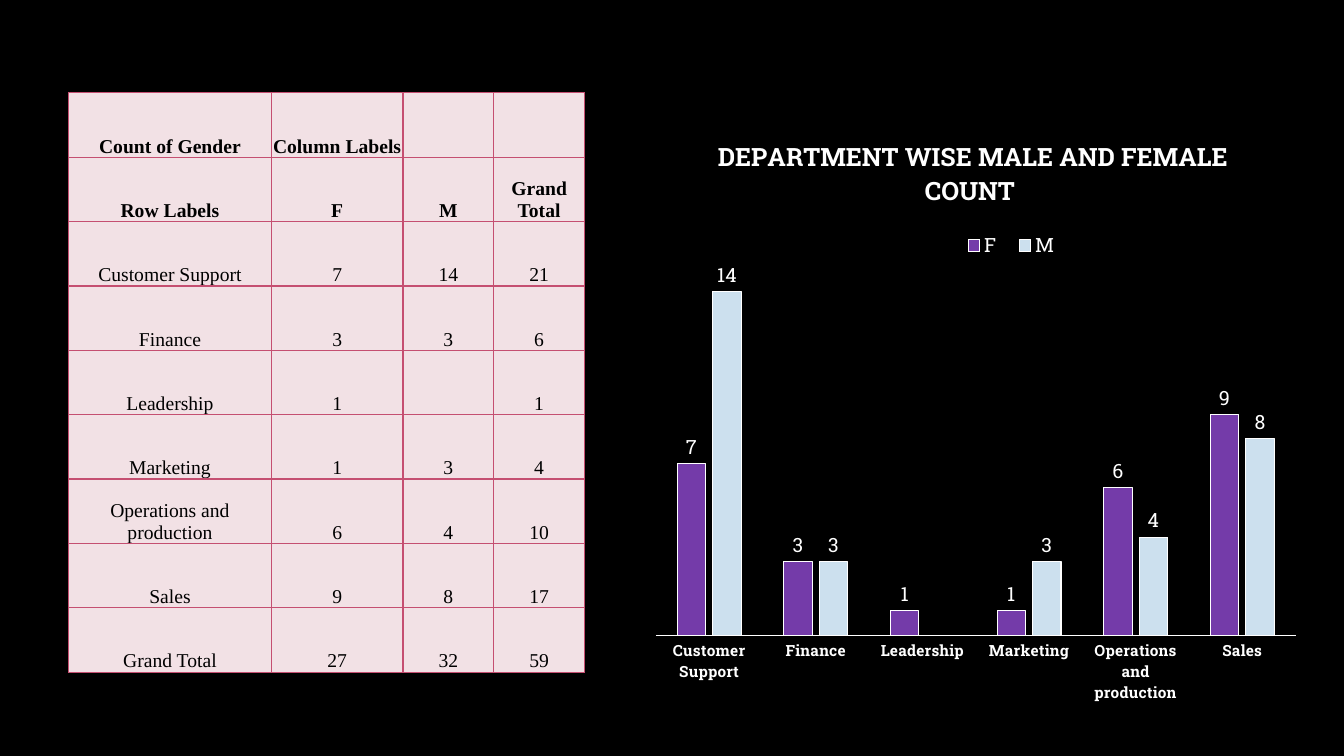
from lxml.etree import SubElement
from pptx import Presentation
from pptx.chart.data import CategoryChartData
from pptx.dml.color import RGBColor
from pptx.enum.chart import XL_CHART_TYPE, XL_LABEL_POSITION, XL_LEGEND_POSITION, XL_TICK_MARK
from pptx.enum.text import MSO_ANCHOR, PP_ALIGN
from pptx.oxml import parse_xml
from pptx.oxml.ns import nsdecls, qn
from pptx.util import Cm, Pt

TABLE_FONT = "Times New Roman"
CHART_FONT = "Roboto Slab"
BLACK, WHITE, PINK, ROSE = "000000", "FFFFFF", "F2E1E5", "C54F71"
SERIES_COLORS = {"F": "743BA9", "M": "CCE0EE"}
COUNTS = {
    "Customer Support": (7, 14),
    "Finance": (3, 3),
    "Leadership": (1, None),
    "Marketing": (1, 3),
    "Operations and production": (6, 4),
    "Sales": (9, 8),
}


def color(value):
    return RGBColor.from_string(value)


def format_font(font, name=CHART_FONT, size=14, fill=WHITE, bold=False):
    font.name = name
    font.size = Pt(size)
    font.bold = bold
    font.color.rgb = color(fill)


def write_text(text_frame, text, align=PP_ALIGN.CENTER, **font_format):
    paragraph = text_frame.paragraphs[0]
    paragraph.alignment = align
    run = paragraph.add_run()
    run.text = text
    format_font(run.font, **font_format)


def add_borders(cell, line_color, width):
    properties = cell._tc.get_or_add_tcPr()
    for side in ("lnL", "lnR", "lnT", "lnB"):
        line = SubElement(properties, qn(f"a:{side}"), w=str(Pt(width)))
        fill = SubElement(line, qn("a:solidFill"))
        SubElement(fill, qn("a:srgbClr"), val=line_color)


def department_rows():
    rows = [("Count of Gender", "Column Labels", "", ""), ("Row Labels", "F", "M", "Grand Total")]
    for department, (female, male) in COUNTS.items():
        rows.append((department, female, male or "", female + (male or 0)))
    females = sum(female for female, male in COUNTS.values())
    males = sum(male or 0 for female, male in COUNTS.values())
    return rows + [("Grand Total", females, males, females + males)]


def add_count_table(slide, left, top, width, height):
    rows = department_rows()
    table = slide.shapes.add_table(len(rows), 4, left, top, width, height).table
    table.first_row = table.horz_banding = False
    for column, share in zip(table.columns, (0.393, 0.255, 0.176, 0.176)):
        column.width = int(width * share)
    for row_index, values in enumerate(rows):
        for column_index, value in enumerate(values):
            cell = table.cell(row_index, column_index)
            cell.margin_left = cell.margin_right = cell.margin_top = cell.margin_bottom = 0
            cell.vertical_anchor = MSO_ANCHOR.BOTTOM
            add_borders(cell, ROSE, 1)
            cell.fill.solid()
            cell.fill.fore_color.rgb = color(PINK)
            if value != "":
                write_text(cell.text_frame, str(value), name=TABLE_FONT, fill=BLACK, bold=row_index < 2)


def set_layout(parent, x, y, width, height, inner=False):
    for layout in parent.findall(qn("c:layout")):
        parent.remove(layout)
    target = '<c:layoutTarget val="inner"/>' if inner else ""
    return parse_xml(
        f'<c:layout {nsdecls("c")}><c:manualLayout>{target}'
        '<c:xMode val="edge"/><c:yMode val="edge"/>'
        f'<c:x val="{x}"/><c:y val="{y}"/><c:w val="{width}"/><c:h val="{height}"/>'
        "</c:manualLayout></c:layout>"
    )


def style_series(series):
    series.format.fill.solid()
    series.format.fill.fore_color.rgb = color(SERIES_COLORS[series.name])
    series.format.line.color.rgb = color(WHITE)
    series.format.line.width = Pt(0.75)
    labels = series.data_labels
    labels.show_value = True
    labels.position = XL_LABEL_POSITION.OUTSIDE_END
    format_font(labels.font)


def add_count_chart(slide, left, top, width, height):
    data = CategoryChartData()
    data.categories = list(COUNTS)
    for index, name in enumerate(SERIES_COLORS):
        data.add_series(name, [pair[index] for pair in COUNTS.values()])
    chart = slide.shapes.add_chart(XL_CHART_TYPE.COLUMN_CLUSTERED, left, top, width, height, data).chart
    format_font(chart.font)
    chart.has_title = True
    write_text(chart.chart_title.text_frame, "DEPARTMENT WISE MALE AND FEMALE COUNT ", size=18, bold=True)

    chart.has_legend = True
    legend = chart.legend
    legend.position = XL_LEGEND_POSITION.TOP
    legend.include_in_layout = False
    format_font(legend.font)
    legend_layout = set_layout(legend._element, 0.47, 0.19, 0.17, 0.06)
    legend._element.find(qn("c:legendPos")).addnext(legend_layout)

    plot = chart.plots[0]
    plot.gap_width = 150
    plot.overlap = -25
    plot.vary_by_categories = False
    for series in plot.series:
        style_series(series)

    chart.value_axis.visible = False
    chart.value_axis.has_major_gridlines = False
    chart.value_axis.minimum_scale = 0
    chart.value_axis.maximum_scale = 16
    axis = chart.category_axis
    axis.major_tick_mark = XL_TICK_MARK.NONE
    axis.format.line.color.rgb = color(WHITE)
    format_font(axis.tick_labels.font, size=11, bold=True)
    plot_area = chart._chartSpace.chart.plotArea
    plot_area.insert(0, set_layout(plot_area, 0.046, 0.215, 0.916, 0.669, inner=True))


def main():
    presentation = Presentation()
    presentation.slide_width = Cm(33.87)
    presentation.slide_height = Cm(19.05)
    slide = presentation.slides.add_slide(presentation.slide_layouts[6])
    slide.background.fill.solid()
    slide.background.fill.fore_color.rgb = color(BLACK)
    add_count_table(slide, Cm(1.73), Cm(2.34), Cm(13), Cm(14.6))
    add_count_chart(slide, Cm(15.72), Cm(2.92), Cm(17.6), Cm(14.81))
    presentation.save("out.pptx")


if __name__ == "__main__":
    main()
